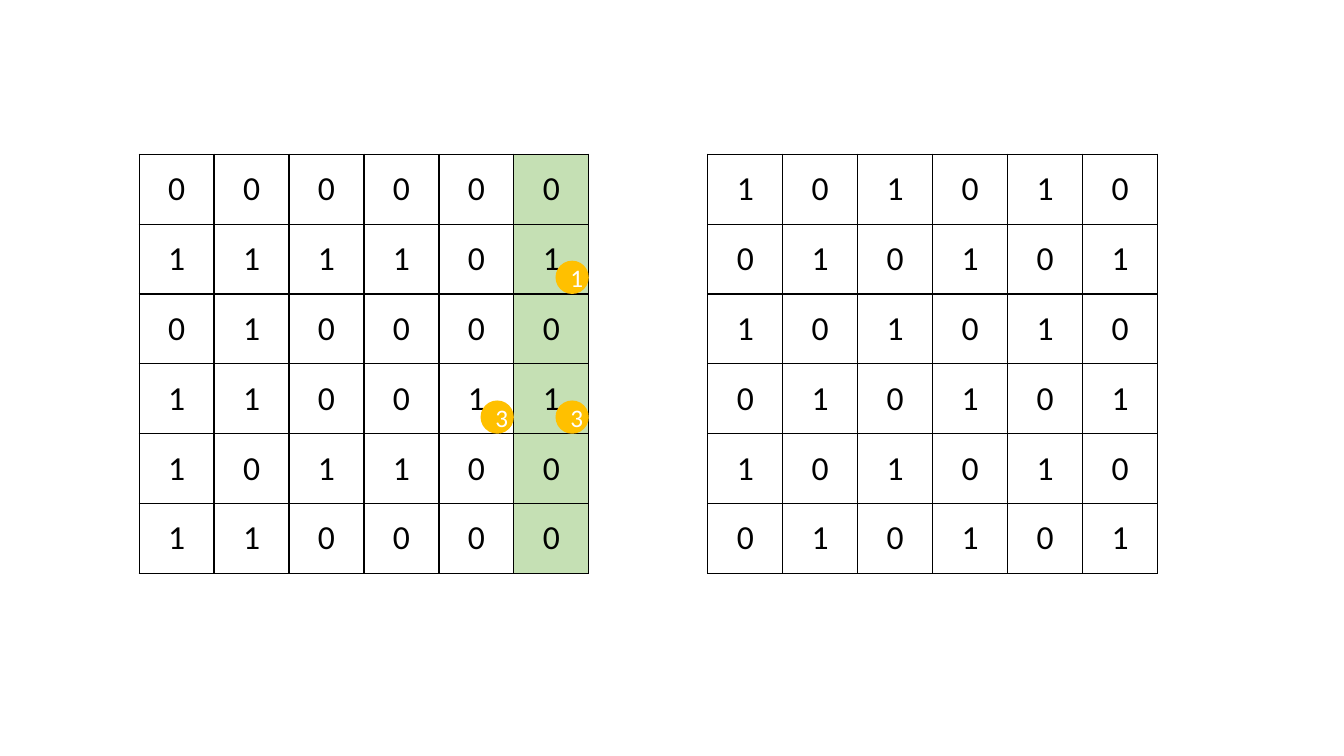
from lxml import etree
from pptx import Presentation
from pptx.dml.color import RGBColor
from pptx.enum.shapes import MSO_SHAPE
from pptx.enum.text import MSO_ANCHOR, PP_ALIGN
from pptx.oxml.ns import qn
from pptx.util import Inches, Pt

OVAL = MSO_SHAPE.OVAL
MIDDLE = MSO_ANCHOR.MIDDLE
CENTER = PP_ALIGN.CENTER

BLACK = RGBColor(0x00, 0x00, 0x00)
WHITE = RGBColor(0xFF, 0xFF, 0xFF)
GREEN = RGBColor(0xC5, 0xE0, 0xB4)
AMBER = RGBColor(0xFF, 0xC0, 0x00)
FONT = "Calibri"

# Content: two binary matrices, and counts pinned to cells of the first
MATRIX = ["000000", "111101", "010000", "110011", "101100", "110000"]
CHECKERBOARD = ["101010", "010101"] * 3
HIGHLIGHTED_COLUMN = 5
COUNTS = [(1, 5, "1"), (3, 4, "3"), (3, 5, "3")]  # row, column, count

# Layout
MATRIX_LEFT, CHECKERBOARD_LEFT, GRID_TOP = Inches(1.38), Inches(7.02), Inches(1.53)
COLUMN_WIDTH = Inches(4.46 / 6)
ROW_HEIGHT = Inches(4.16 / 6)
BADGE_SIZE = Inches(0.33)


def write_centered(text_frame, text, size, color):
    text_frame.text = text
    paragraph = text_frame.paragraphs[0]
    paragraph.alignment = CENTER
    font = paragraph.runs[0].font
    font.name, font.size, font.color.rgb = FONT, Pt(size), color


def add_borders(cell):
    properties = cell._tc.get_or_add_tcPr()
    for index, side in enumerate(("a:lnL", "a:lnR", "a:lnT", "a:lnB")):
        border = etree.Element(qn(side), w=str(Pt(1)))
        fill = etree.SubElement(border, qn("a:solidFill"))
        etree.SubElement(fill, qn("a:srgbClr"), val=str(BLACK))
        properties.insert(index, border)  # borders come before the fill


def add_grid(slide, rows, left, highlighted=None):
    row_count, column_count = len(rows), len(rows[0])
    grid = slide.shapes.add_table(
        row_count, column_count, left, GRID_TOP,
        COLUMN_WIDTH * column_count, ROW_HEIGHT * row_count).table
    grid.first_row = grid.horz_banding = False
    for column in grid.columns:
        column.width = COLUMN_WIDTH
    for r, digits in enumerate(rows):
        grid.rows[r].height = ROW_HEIGHT
        for c, digit in enumerate(digits):
            cell = grid.cell(r, c)
            cell.vertical_anchor = MIDDLE
            write_centered(cell.text_frame, digit, 24, BLACK)
            if c == highlighted:
                cell.fill.solid()
                cell.fill.fore_color.rgb = GREEN
            else:
                cell.fill.background()
            add_borders(cell)


def add_badge(slide, row, column, count):
    # Sits in the bottom right corner of its cell
    left = MATRIX_LEFT + (column + 1) * COLUMN_WIDTH - BADGE_SIZE
    top = GRID_TOP + (row + 1) * ROW_HEIGHT - BADGE_SIZE
    badge = slide.shapes.add_shape(OVAL, left, top, BADGE_SIZE, BADGE_SIZE)
    badge.shadow.inherit = False
    badge.fill.solid()
    badge.fill.fore_color.rgb = AMBER
    badge.line.fill.background()
    badge.text_frame.vertical_anchor = MIDDLE
    write_centered(badge.text_frame, count, 18, WHITE)


presentation = Presentation()
presentation.slide_width, presentation.slide_height = Inches(13.33), Inches(7.5)
slide = presentation.slides.add_slide(presentation.slide_layouts[6])

# Matrix with its counts, then the checkerboard
add_grid(slide, MATRIX, MATRIX_LEFT, HIGHLIGHTED_COLUMN)
for row, column, count in COUNTS:
    add_badge(slide, row, column, count)
add_grid(slide, CHECKERBOARD, CHECKERBOARD_LEFT)

presentation.save("out.pptx")
